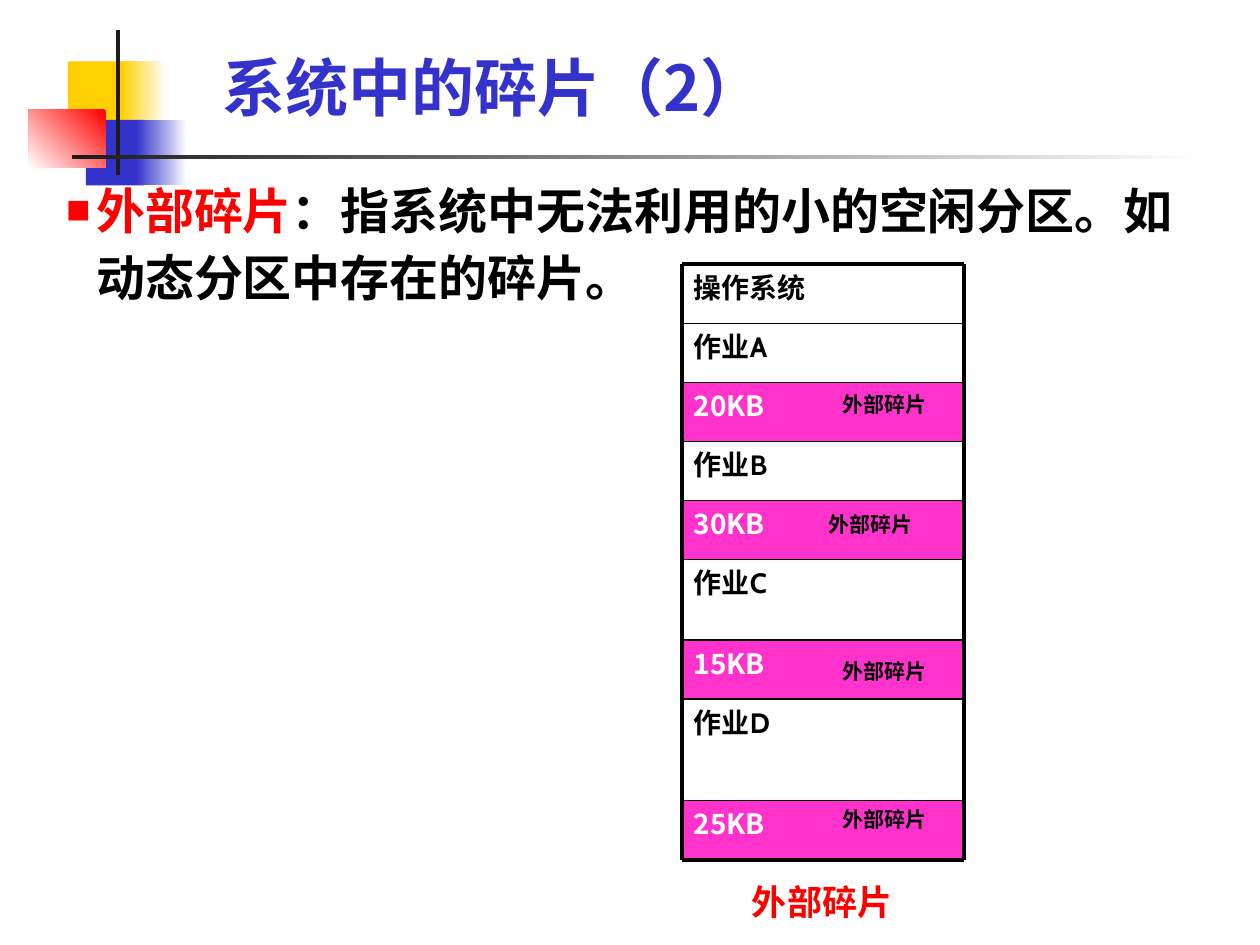
"""Build a slide on external fragmentation with a memory map of partitions."""
from dataclasses import dataclass
from itertools import accumulate

from lxml import etree
from pptx import Presentation
from pptx import util as u
from pptx.dml.color import RGBColor
from pptx.enum import shapes, text
from pptx.oxml.ns import qn


@dataclass(frozen=True)
class Theme:
    blue: str = "3333CC"
    yellow: str = "FFCF01"
    red: str = "FF0000"
    pink: str = "FF33CC"
    dark: str = "1C1C1C"
    black: str = "000000"
    white: str = "FFFFFF"
    latin: str = "Cabin"
    cjk: str = "Noto Sans CJK SC"
    title: int = 36
    body: int = 28
    caption: int = 20
    row: int = 16
    label: int = 12
    thick: float = 2.25
    thin: float = 1


T = Theme()


def add_run(p, content, size=T.row, color=T.black, font=T.latin):
    r = p.add_run()
    r.text = content
    r.font.size = u.Pt(size)
    r.font.bold = True
    r.font.color.rgb = RGBColor.from_string(color)
    r.font.name = font
    etree.SubElement(r.font._element, qn("a:ea"), typeface=T.cjk)


class Deck:
    def __init__(self, theme):
        self.theme = theme
        self.prs = Presentation()
        self.prs.slide_width, self.prs.slide_height = u.Cm(25.4), u.Cm(19.05)
        self.s = self.prs.slides.add_slide(self.prs.slide_layouts[6])

    def rect(self, x, y, w, h, *colors, angle=180):
        sp = self.s.shapes.add_shape(
            shapes.MSO_SHAPE.RECTANGLE, u.Cm(x), u.Cm(y), u.Cm(w), u.Cm(h))
        sp.shadow.inherit = False
        sp.line.fill.background()
        if len(colors) == 1:
            sp.fill.solid()
            sp.fill.fore_color.rgb = RGBColor.from_string(colors[0])
        else:
            sp.fill.gradient()
            sp.fill.gradient_angle = angle
            for stop, color in zip(sp.fill.gradient_stops, colors):
                stop.color.rgb = RGBColor.from_string(color)
        return sp

    def text(self, x, y, w, h, content="", anchor=text.MSO_ANCHOR.TOP, fill=None, **fmt):
        if fill:
            sp = self.rect(x, y, w, h, fill)
        else:
            sp = self.s.shapes.add_textbox(u.Cm(x), u.Cm(y), u.Cm(w), u.Cm(h))
        tf = sp.text_frame
        tf.word_wrap = True
        tf.vertical_anchor = anchor
        p = tf.paragraphs[0]
        p.alignment = text.PP_ALIGN.LEFT
        if content:
            add_run(p, content, **fmt)
        return p

    def bullet(self, x, y, w, h, runs):
        p = self.text(x, y, w, h)
        p.line_spacing = 1.15
        pPr = p._p.get_or_add_pPr()
        pPr.set("marL", str(u.Cm(0.6)))
        pPr.set("indent", str(u.Cm(-0.6)))
        clr = etree.SubElement(pPr, qn("a:buClr"))
        etree.SubElement(clr, qn("a:srgbClr"), val=self.theme.red)
        etree.SubElement(pPr, qn("a:buSzPct"), val="50000")
        etree.SubElement(pPr, qn("a:buFont"), typeface=self.theme.cjk)
        etree.SubElement(pPr, qn("a:buChar"), char="■")
        for content, color in runs:
            add_run(p, content, size=self.theme.body, color=color, font=self.theme.cjk)

    def line(self, x1, y1, x2, y2, width):
        c = self.s.shapes.add_connector(
            shapes.MSO_CONNECTOR.STRAIGHT, u.Cm(x1), u.Cm(y1), u.Cm(x2), u.Cm(y2))
        c.line.width = u.Pt(width)
        c.line.color.rgb = RGBColor.from_string(self.theme.black)
        etree.SubElement(c._element.spPr, qn("a:effectLst"))

    def memory_map(self, x, y, w, rows):
        t = self.theme
        edges = list(accumulate((h for _, h, _ in rows), initial=y))
        for (name, h, label), top in zip(rows, edges):
            if label:
                self.text(x, top, w, h, name, fill=t.pink, color=t.white, font=t.cjk)
            else:
                self.text(x, top, w, h, name)
        for edge in edges:
            outer = edge in (edges[0], edges[-1])
            self.line(x, edge, x + w, edge, t.thick if outer else t.thin)
        for side in (x, x + w):
            self.line(side, edges[0], side, edges[-1], t.thick)
        for (_, _, label), top in zip(rows, edges):
            if label:
                dx, dy = label
                self.text(x + dx, top + dy, 2.97, 0.76, "外部碎片", size=t.label)


def main():
    d = Deck(T)
    d.rect(1.37, 1.24, 1.22, 1.32, T.yellow)
    d.rect(2.44, 1.24, 0.91, 1.32, T.white, T.yellow)
    d.rect(1.73, 2.42, 1.17, 1.32, T.blue)
    d.rect(2.75, 2.42, 1.02, 1.32, T.white, T.blue)
    d.rect(0.58, 2.21, 1.55, 1.17, T.red, T.white, angle=225)
    d.rect(2.34, 0.61, 0.08, 2.92, T.dark)
    d.rect(1.45, 3.13, 22.86, 0.08, T.white, T.dark)
    d.text(4.24, 1.32, 15.27, 1.3, "系统中的碎片（2）", anchor=text.MSO_ANCHOR.BOTTOM,
           size=T.title, color=T.blue, font=T.cjk)
    d.memory_map(13.74, 5.33, 5.69, [
        ("操作系统", 1.19, None),
        ("作业A", 1.19, None),
        ("20KB", 1.19, (3, 0.05)),
        ("作业B", 1.19, None),
        ("30KB", 1.19, (2.72, 0.1)),
        ("作业C", 1.62, None),
        ("15KB", 1.19, (3, 0.25)),
        ("作业D", 2.05, None),
        ("25KB", 1.19, (3, 0)),
    ])
    d.text(14.91, 17.63, 4.01, 1.12, "外部碎片", size=T.caption, color=T.red)
    d.bullet(1.09, 3.33, 22.81, 3, [
        ("外部碎片", T.red),
        ("：指系统中无法利用的小的空闲分区。如动态分区中存在的碎片。", T.black),
    ])
    d.prs.save("out.pptx")


if __name__ == "__main__":
    main()
